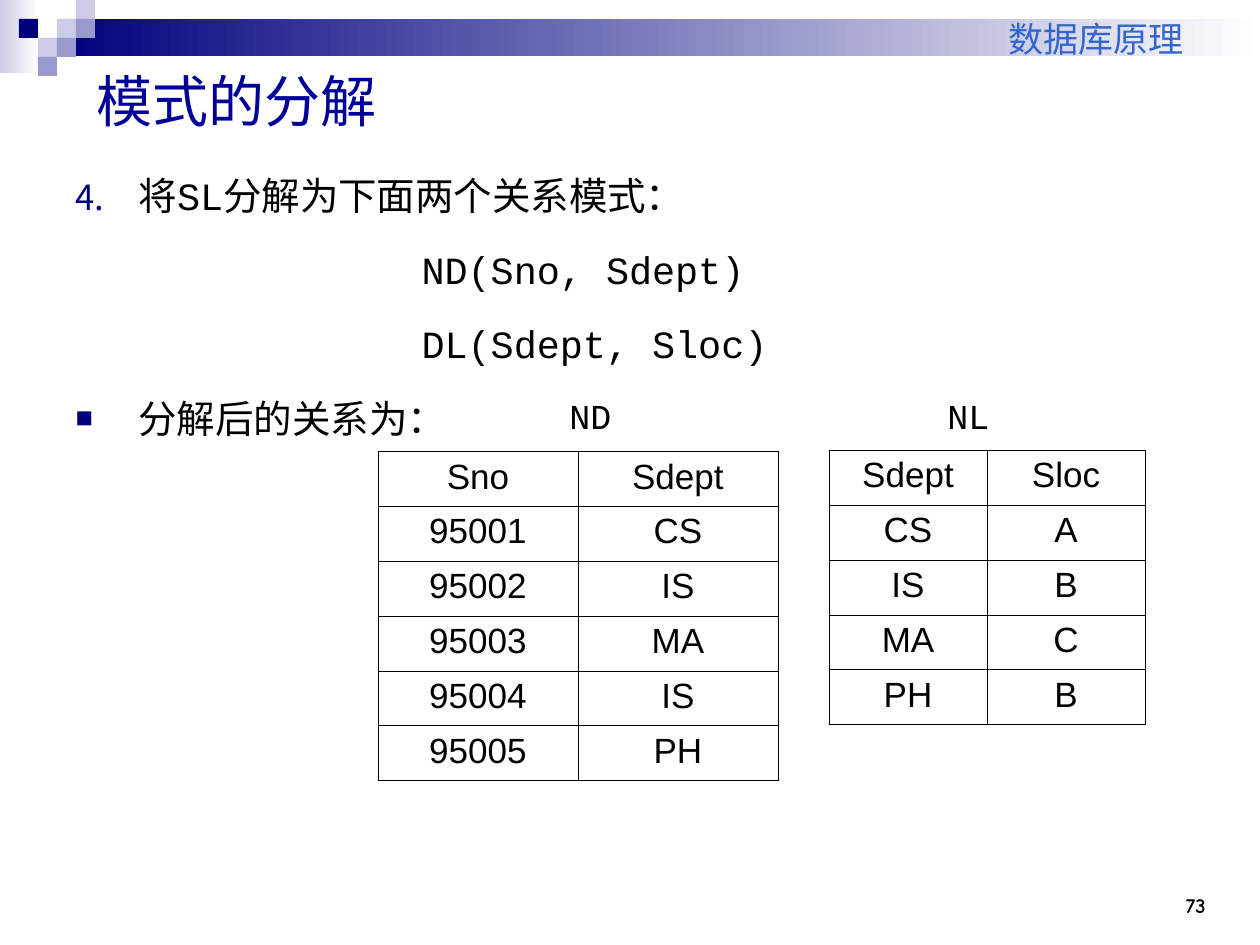
from dataclasses import dataclass
from typing import NamedTuple, Optional

from lxml.etree import SubElement
from pptx import Presentation
from pptx.dml.color import RGBColor as Color
from pptx.enum.shapes import MSO_SHAPE as Preset
from pptx.enum.text import MSO_ANCHOR as Anchor, MSO_AUTO_SIZE as AutoSize, PP_ALIGN as Align
from pptx.oxml.ns import qn
from pptx.util import Emu, Pt

EMU_PER_PX = 914400 / 126
STEP = 19


class Font(NamedTuple):
    name: str
    size: int
    color: str
    bold: bool = False


@dataclass(frozen=True)
class Theme:
    navy: str = "00007D"
    violet: str = "9999CC"
    lilac: str = "CCCCE6"
    white: str = "FFFFFF"
    black: str = "000000"
    border_points: float = 0.45
    title: Font = Font("Comic Neue", 32, "000099")
    course: Font = Font("Comic Neue", 20, "3366CC")
    number: Font = Font("Comic Neue", 12, "000000", True)
    body: Font = Font("Courier New", 22, "000000")
    label: Font = Font("Courier New", 20, "000000")
    cell: Font = Font("Arial", 20, "000000")


THEME = Theme()


class Area(NamedTuple):
    left: int
    top: int
    width: int
    height: int


class Square(NamedTuple):
    column: int
    row: int
    color: str


class Bullet(NamedTuple):
    tag: str
    attributes: dict
    percent: int
    font: str


class Item(NamedTuple):
    text: str
    bullet: Optional[Bullet] = None


class Relation(NamedTuple):
    left: int
    top: int
    column_width: int
    rows: list


SQUARES = [
    Square(3, 1, THEME.lilac),
    Square(4, 0, THEME.lilac),
    Square(4, 1, THEME.violet),
    Square(2, 2, THEME.lilac),
    Square(1, 1, THEME.navy),
    Square(3, 2, THEME.violet),
    Square(2, 3, THEME.violet),
]
ITEMS = [
    Item("将SL分解为下面两个关系模式：",
         Bullet("a:buAutoNum", {"type": "arabicPeriod", "startAt": "4"}, 90, "Comic Neue")),
    Item("ND(Sno, Sdept)"),
    Item("DL(Sdept, Sloc)"),
    Item("分解后的关系为：", Bullet("a:buChar", {"char": "■"}, 75, "Arial")),
]
RELATIONS = [
    Relation(378, 451, 200, [
        ("Sno", "Sdept"), ("95001", "CS"), ("95002", "IS"),
        ("95003", "MA"), ("95004", "IS"), ("95005", "PH"),
    ]),
    Relation(829, 450, 158, [
        ("Sdept", "Sloc"), ("CS", "A"), ("IS", "B"), ("MA", "C"), ("PH", "B"),
    ]),
]
ROW_HEIGHT = 55
HANGING = 63
SCHEMA_INDENT = 346
LABEL_TAB = 378


def px(length: int) -> Emu:
    return Emu(round(length * EMU_PER_PX))


def place(shape, area: Area) -> None:
    shape.left, shape.top, shape.width, shape.height = map(px, area)


def style(para, font: Font) -> None:
    for span in para.runs:
        span.font.name = font.name
        span.font.size = Pt(font.size)
        span.font.bold = font.bold
        span.font.color.rgb = Color.from_string(font.color)


def add_rectangle(page, area: Area, color: str, fade_to: Optional[str] = None) -> None:
    shape = page.shapes.add_shape(Preset.RECTANGLE, *map(px, area))
    shape.shadow.inherit = False
    shape.line.fill.background()
    if fade_to is None:
        shape.fill.solid()
        shape.fill.fore_color.rgb = Color.from_string(color)
        return
    shape.fill.gradient()
    shape.fill.gradient_angle = 0
    for stop, stop_color in zip(shape.fill.gradient_stops, (color, fade_to)):
        stop.color.rgb = Color.from_string(stop_color)


def add_text(page, area: Area, text: str, font: Font, align=Align.LEFT,
             anchor=Anchor.TOP, wrap: bool = True):
    box = page.shapes.add_textbox(*map(px, area))
    frame = box.text_frame
    frame.text = text
    frame.word_wrap = wrap
    frame.vertical_anchor = anchor
    frame.paragraphs[0].alignment = align
    style(frame.paragraphs[0], font)
    return frame


def fill_title(title, text: str) -> None:
    place(title, Area(84, 53, 1134, 94))
    frame = title.text_frame
    frame.text = text
    frame.vertical_anchor = Anchor.MIDDLE
    frame.paragraphs[0].alignment = Align.LEFT
    style(frame.paragraphs[0], THEME.title)


def set_bullet(para, bullet: Optional[Bullet]) -> None:
    properties = para._p.get_or_add_pPr()
    properties.set("marL", str(px(HANGING if bullet else SCHEMA_INDENT)))
    properties.set("indent", str(-px(HANGING) if bullet else 0))
    if bullet is None:
        SubElement(properties, qn("a:buNone"))
        return
    color = SubElement(properties, qn("a:buClr"))
    SubElement(color, qn("a:srgbClr"), val=THEME.navy)
    SubElement(properties, qn("a:buSzPct"), val=str(bullet.percent * 1000))
    SubElement(properties, qn("a:buFont"), typeface=bullet.font)
    SubElement(properties, qn(bullet.tag), bullet.attributes)


def fill_body(body, items: list) -> None:
    place(body, Area(63, 147, 1155, 735))
    frame = body.text_frame
    frame.text = "\n".join(item.text for item in items)
    frame.auto_size = AutoSize.NONE
    for index, (para, item) in enumerate(zip(frame.paragraphs, items)):
        para.line_spacing = 1.4
        para.space_before = Pt(5.5 if index else 0)
        set_bullet(para, item.bullet)
        style(para, THEME.body)


def set_borders(cell) -> None:
    properties = cell._tc.get_or_add_tcPr()
    for side in ("a:lnL", "a:lnR", "a:lnT", "a:lnB"):
        line = SubElement(properties, qn(side), w=str(Pt(THEME.border_points)))
        SubElement(SubElement(line, qn("a:solidFill")), qn("a:srgbClr"), val=THEME.black)


def add_relation(page, relation: Relation) -> None:
    row_count, column_count = len(relation.rows), len(relation.rows[0])
    area = Area(relation.left, relation.top,
                relation.column_width * column_count, ROW_HEIGHT * row_count)
    table = page.shapes.add_table(row_count, column_count, *map(px, area)).table
    table.first_row = table.horz_banding = False
    for row, values in zip(table.rows, relation.rows):
        for cell, value in zip(row.cells, values):
            cell.text = value
            set_borders(cell)
            cell.fill.background()
            para = cell.text_frame.paragraphs[0]
            para.alignment = Align.CENTER
            style(para, THEME.cell)


def main() -> None:
    deck = Presentation()
    deck.slide_width, deck.slide_height = px(1260), px(945)
    page = deck.slides.add_slide(deck.slide_layouts[1])
    fill_title(page.shapes.title, "模式的分解")
    fill_body(page.placeholders[1], ITEMS)

    add_rectangle(page, Area(0, 0, 39, 73), THEME.lilac, THEME.white)
    add_rectangle(page, Area(57, 19, 1203, 37), THEME.navy, THEME.white)
    for square in SQUARES:
        add_rectangle(page, Area(square.column * STEP, square.row * STEP, STEP, STEP), square.color)

    add_text(page, Area(1113, 861, 105, 63), "73", THEME.number, Align.RIGHT, Anchor.BOTTOM)
    course = add_text(page, Area(483, 0, 746, 66), "数据库原理", THEME.course, Align.RIGHT, Anchor.BOTTOM)
    course.margin_right = px(45)

    labels = add_text(page, Area(557, 388, 449, 55), "ND\tNL", THEME.label, wrap=False)
    tabs = SubElement(labels.paragraphs[0]._p.get_or_add_pPr(), qn("a:tabLst"))
    SubElement(tabs, qn("a:tab"), pos=str(px(LABEL_TAB)), algn="l")
    for relation in RELATIONS:
        add_relation(page, relation)
    deck.save("out.pptx")


if __name__ == "__main__":
    main()
